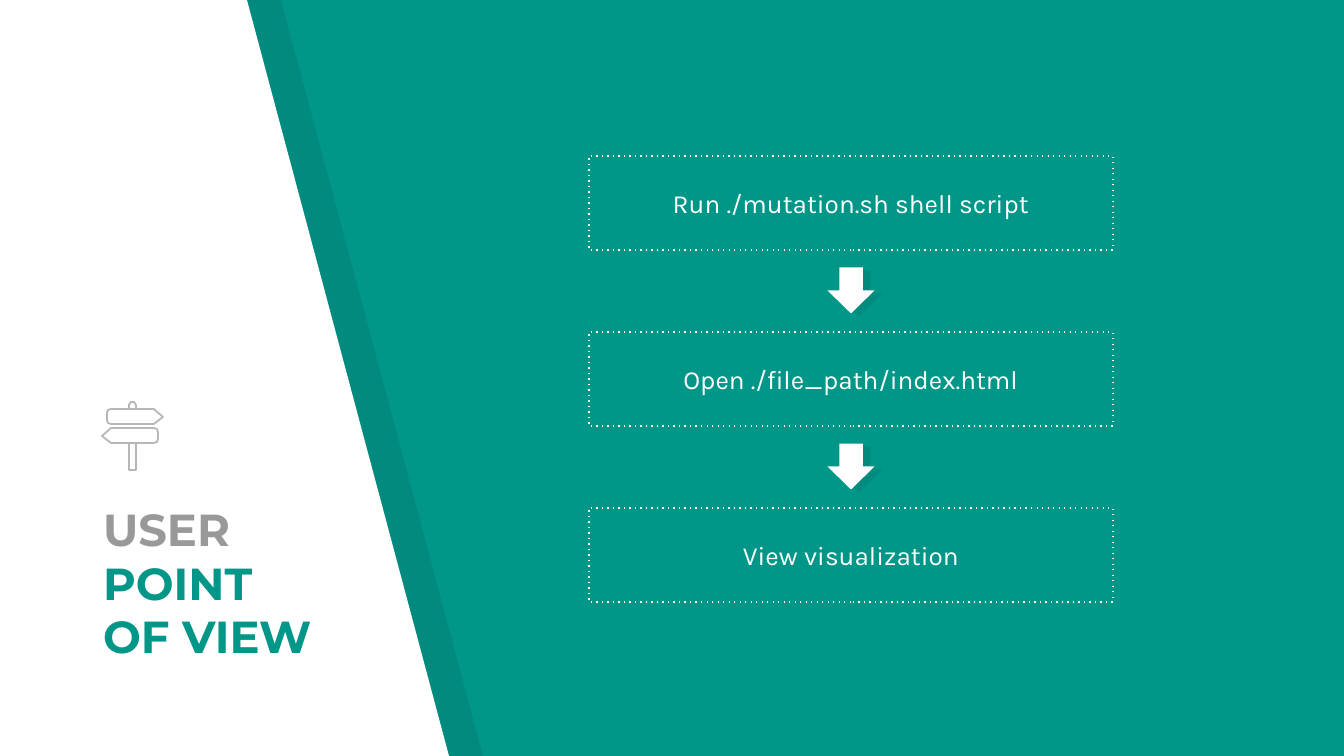
from lxml import etree
from pptx import Presentation
from pptx.dml.color import RGBColor
from pptx.enum.shapes import MSO_SHAPE
from pptx.enum.text import MSO_ANCHOR, MSO_AUTO_SIZE, PP_ALIGN
from pptx.oxml.ns import qn
from pptx.util import Emu, Pt

PX = 914400 / 134.4
RECTANGLE = MSO_SHAPE.RECTANGLE
RIGHT_ARROW = MSO_SHAPE.RIGHT_ARROW
MIDDLE, BOTTOM = MSO_ANCHOR.MIDDLE, MSO_ANCHOR.BOTTOM
LEFT, CENTER = PP_ALIGN.LEFT, PP_ALIGN.CENTER
NO_AUTOFIT = MSO_AUTO_SIZE.NONE
TEAL = RGBColor(0x00, 0x96, 0x88)
WHITE = RGBColor(0xFF, 0xFF, 0xFF)
BLACK = RGBColor(0x00, 0x00, 0x00)
GRAY = RGBColor(0x99, 0x99, 0x99)
ICON_GRAY = RGBColor(0xB7, 0xB7, 0xB7)


def px(*lengths):
    return [Emu(round(length * PX)) for length in lengths]


def fill_solid(shape, color, opacity=100):
    shape.shadow.inherit = False
    shape.line.fill.background()
    shape.fill.solid()
    shape.fill.fore_color.rgb = color
    if opacity < 100:
        color_element = shape._element.spPr.find(qn("a:solidFill"))[0]
        etree.SubElement(color_element, qn("a:alpha"), val=str(opacity * 1000))


presentation = Presentation()
presentation.slide_width, presentation.slide_height = px(1344, 756)
slide = presentation.slides.add_slide(presentation.slide_layouts[5])
slide.background.fill.solid()
slide.background.fill.fore_color.rgb = TEAL

title = slide.shapes.title
for offset, color, opacity in [(34, BLACK, 7), (0, WHITE, 100)]:
    builder = slide.shapes.build_freeform(offset, 0, PX)
    builder.add_line_segments([(offset, 756), (offset + 449, 756), (offset + 247, 0)])
    panel = builder.convert_to_shape()
    fill_solid(panel, color, opacity)
    title._element.addprevious(panel._element)

title.left, title.top, title.width, title.height = px(90, 605, 253, 71)
title_frame = title.text_frame
title_frame.auto_size = NO_AUTOFIT
title_frame.word_wrap = True
title_frame.vertical_anchor = BOTTOM
title_frame.margin_top = title_frame.margin_bottom = px(13)[0]
title_frame.margin_left = title_frame.margin_right = px(13)[0]
paragraph = title_frame.paragraphs[0]
paragraph.alignment = LEFT
paragraph.font.name = "Montserrat"
paragraph.font.size = Pt(24)
paragraph.font.bold = True
for text, color in [("USER ", GRAY), ("POINT OF VIEW", TEAL)]:
    run = paragraph.add_run()
    run.text = text
    run.font.color.rgb = color

STEPS = ["Run ./mutation.sh shell script", "Open ./file_path/index.html", "View visualization"]
STEP_PITCH = 176
for index, text in enumerate(STEPS):
    top = 156 + index * STEP_PITCH
    box = slide.shapes.add_shape(RECTANGLE, *px(589, top, 524, 94))
    box.shadow.inherit = False
    box.fill.background()
    box.line.color.rgb = WHITE
    box.line.width = Pt(0.75)
    outline = box._element.spPr.find(qn("a:ln"))
    outline.set("cap", "flat")
    etree.SubElement(outline, qn("a:prstDash"), val="dot")
    etree.SubElement(outline, qn("a:round"))
    box.text_frame.word_wrap = True
    box.text_frame.vertical_anchor = MIDDLE
    paragraph = box.text_frame.paragraphs[0]
    paragraph.text = text
    paragraph.alignment = CENTER
    paragraph.font.name = "Karla"
    paragraph.font.size = Pt(14)
    paragraph.font.color.rgb = WHITE

    if index < len(STEPS) - 1:
        arrow_group = slide.shapes.add_group_shape()
        for dx, dy, color, opacity in [(8, 3, BLACK, 7), (0, 0, WHITE, 100)]:
            arrow = arrow_group.shapes.add_shape(RIGHT_ARROW, *px(828 + dx, top + 111 + dy, 46, 47))
            arrow.rotation = 90
            fill_solid(arrow, color, opacity)

right_board = [(154, 409), (111, 409), (108, 410), (107, 413), (107, 420),
               (108, 423), (111, 424), (154, 424), (163, 417)]
left_board = [(265 - x, y + 19) for x, y in right_board]
post_cap = [(136, 409), (136, 405), (134, 402), (131, 402), (129, 405), (129, 409)]
post = [(129, 443), (129, 470), (136, 470), (136, 443)]
signpost = slide.shapes.add_group_shape()
for points in [right_board, left_board, post_cap, post]:
    builder = signpost.shapes.build_freeform(*points[0], PX)
    builder.add_line_segments(points[1:])
    part = builder.convert_to_shape()
    part.shadow.inherit = False
    part.fill.background()
    part.line.color.rgb = ICON_GRAY
    part.line.width = Pt(0.96)

presentation.save("out.pptx")
